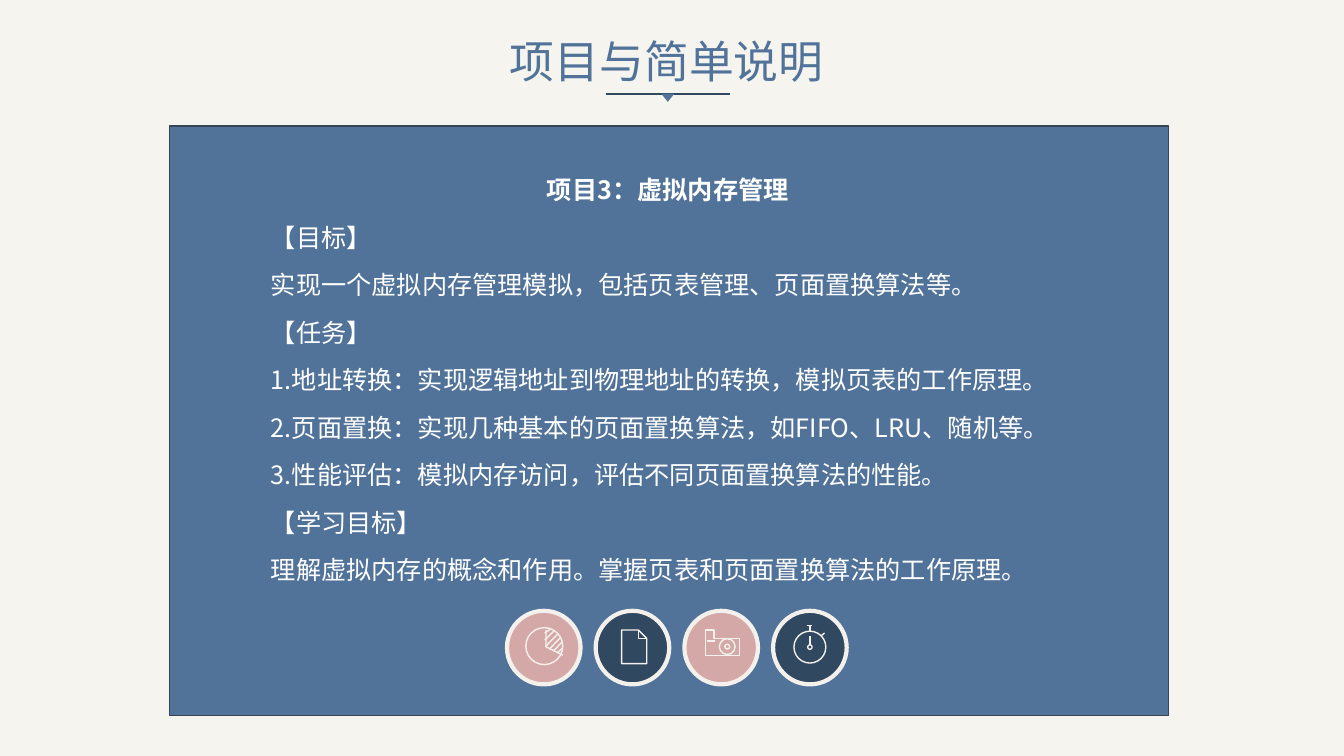
from dataclasses import dataclass

from lxml import etree
from pptx import Presentation
from pptx import util as u
from pptx.dml.color import RGBColor
from pptx.enum import shapes, text
from pptx.oxml import ns

# The slide is a grid of 160 columns by 90 rows of square cells.
CELL = u.Inches(1 / 12)
COLUMNS, ROWS = 160, 90

CREAM = RGBColor(0xF5, 0xF4, 0xEF)
IVORY = RGBColor(0xF4, 0xF1, 0xEC)
BLUE = RGBColor(0x51, 0x73, 0x99)
NAVY = RGBColor(0x30, 0x48, 0x60)
SLATE = RGBColor(0x37, 0x46, 0x56)
PINK = RGBColor(0xD4, 0xA8, 0xA7)
WHITE = RGBColor(0xFF, 0xFF, 0xFF)

TITLE_FONT = "Times New Roman"
BODY_FONT = "Noto Sans CJK SC"
ICON_WEIGHT = 1

BADGE_LEFT, BADGE_TOP, BADGE_SIZE, BADGE_STEP = 60.36, 72.72, 8.76, 10.56

HEADING = "项目3：虚拟内存管理"
BODY = (
    "【目标】",
    "实现一个虚拟内存管理模拟，包括页表管理、页面置换算法等。",
    "【任务】",
    "1.地址转换：实现逻辑地址到物理地址的转换，模拟页表的工作原理。",
    "2.页面置换：实现几种基本的页面置换算法，如FIFO、LRU、随机等。",
    "3.性能评估：模拟内存访问，评估不同页面置换算法的性能。",
    "【学习目标】",
    "理解虚拟内存的概念和作用。掌握页表和页面置换算法的工作原理。",
)

Point = tuple[float, float]


@dataclass(frozen=True)
class Area:
    left: float
    top: float
    width: float
    height: float

    def emu(self) -> tuple[int, ...]:
        return tuple(round(side * CELL) for side in (self.left, self.top, self.width, self.height))


@dataclass(frozen=True)
class Ring:
    x: float
    y: float
    radius: float


@dataclass(frozen=True)
class Stroke:
    points: tuple[Point, ...]
    closed: bool = False


@dataclass(frozen=True)
class Badge:
    """A round icon; its rings and strokes are measured from the centre."""
    color: RGBColor
    rings: tuple[Ring, ...]
    strokes: tuple[Stroke, ...]


PIE_CHART = Badge(PINK, (Ring(0.06, -0.18, 2.2),), (
    Stroke(((0.06, -2.38), (0.06, -0.12), (1.95, 1))),
    Stroke(((0.12, -1.74), (0.72, -2.16))),
    Stroke(((0.12, -0.9), (1.2, -1.98))),
    Stroke(((0.18, -0.12), (1.68, -1.62))),
    Stroke(((0.66, 0.18), (1.98, -1.2))),
    Stroke(((1.14, 0.42), (2.16, -0.66))),
    Stroke(((1.62, 0.6), (2.22, 0.06))),
))
DOCUMENTS = Badge(NAVY, (), (
    Stroke(((-1.26, -2.4), (0.66, -2.4), (1.68, -1.38), (1.68, 1.5), (-1.26, 1.5)), closed=True),
    Stroke(((0.66, -2.4), (0.66, -1.32), (1.68, -1.32))),
    Stroke(((-1.8, -1.86), (-1.8, 2.04), (1.26, 2.04))),
))
CAMERA = Badge(PINK, (Ring(0.72, -0.12, 0.94), Ring(0.72, -0.12, 0.28)), (
    Stroke(((-2.22, -1.56), (-1.74, -1.56), (-1.74, -1.98), (-0.66, -1.98), (-0.66, -1.56),
            (2.16, -1.56), (2.16, 1.32), (-2.22, 1.32)), closed=True),
    Stroke(((-1.74, -0.78), (-0.78, -0.78))),
))
STOPWATCH = Badge(NAVY, (Ring(0, -0.06, 1.9), Ring(0, -0.06, 0.26)), (
    Stroke(((0, -1.38), (0, -0.32))),
    Stroke(((-0.3, -2.6), (0.3, -2.6))),
    Stroke(((0, -2.6), (0, -1.96))),
    Stroke(((1.38, -1.44), (1.74, -1.74))),
))
BADGES = (PIE_CHART, DOCUMENTS, CAMERA, STOPWATCH)


def set_line(shape, color: RGBColor, weight: float) -> None:
    shape.line.color.rgb = color
    shape.line.width = u.Pt(weight)


def add_preset(parent, kind, area: Area, fill: RGBColor | None,
               line: RGBColor | None = None, weight: float = 1):
    shape = parent.add_shape(kind, *area.emu())
    shape.shadow.inherit = False
    if fill is None:
        shape.fill.background()
    else:
        shape.fill.solid()
        shape.fill.fore_color.rgb = fill
    if line is None:
        shape.line.fill.background()
    else:
        set_line(shape, line, weight)
    return shape


def add_line(parent, start: Point, end: Point, color: RGBColor, weight: float) -> None:
    ends = [round(value * CELL) for value in (*start, *end)]
    line = parent.add_connector(shapes.MSO_CONNECTOR.STRAIGHT, *ends)
    set_line(line, color, weight)
    etree.SubElement(line._element.spPr, ns.qn("a:effectLst"))


def add_stroke(parent, stroke: Stroke, x: float, y: float) -> None:
    points = [(x + right, y + down) for right, down in stroke.points]
    if len(points) == 2:
        add_line(parent, points[0], points[1], IVORY, ICON_WEIGHT)
        return
    builder = parent.build_freeform(*points[0], scale=CELL)
    builder.add_line_segments(points[1:], close=stroke.closed)
    outline = builder.convert_to_shape()
    outline.shadow.inherit = False
    outline.fill.background()
    set_line(outline, IVORY, ICON_WEIGHT)


def add_badge(page, badge: Badge, index: int) -> None:
    group = page.shapes.add_group_shape().shapes
    left = BADGE_LEFT + index * BADGE_STEP
    x, y = left + BADGE_SIZE / 2, BADGE_TOP + BADGE_SIZE / 2
    oval = shapes.MSO_SHAPE.OVAL
    add_preset(group, oval, Area(left, BADGE_TOP, BADGE_SIZE, BADGE_SIZE), badge.color, IVORY, 3)
    for ring in badge.rings:
        size = 2 * ring.radius
        area = Area(x + ring.x - ring.radius, y + ring.y - ring.radius, size, size)
        add_preset(group, oval, area, None, IVORY, ICON_WEIGHT)
    for stroke in badge.strokes:
        add_stroke(group, stroke, x, y)


def add_text_frame(page, area: Area, wrap: bool):
    frame = page.shapes.add_textbox(*area.emu()).text_frame
    frame.word_wrap = wrap
    frame.auto_size = text.MSO_AUTO_SIZE.SHAPE_TO_FIT_TEXT
    return frame


def add_span(para, words: str, size: float, font: str, color: RGBColor, bold: bool = False):
    span = para.add_run()
    span.text = words
    span.font.size = u.Pt(size)
    span.font.name = font
    span.font.bold = bold
    span.font.color.rgb = color
    return span


def add_title(page) -> None:
    para = add_text_frame(page, Area(59.52, 3.48, 40.08, 7.68), wrap=False).paragraphs[0]
    add_span(para, "项目与简单说明", 32, TITLE_FONT, BLUE)


def add_description(page) -> None:
    frame = add_text_frame(page, Area(31.08, 19.68, 96.84, 50.76), wrap=True)
    for index, words in enumerate((HEADING, *BODY)):
        is_heading = index == 0
        para = frame.paragraphs[0] if is_heading else frame.add_paragraph()
        para.alignment = text.PP_ALIGN.CENTER if is_heading else text.PP_ALIGN.LEFT
        para.line_spacing = 1.15 if is_heading else 1.2
        para.space_after = u.Pt(8)
        span = add_span(para, words, 18, BODY_FONT, WHITE, bold=is_heading)
        etree.SubElement(span.font._element, ns.qn("a:ea"), typeface=BODY_FONT)


def main() -> None:
    deck = Presentation()
    deck.slide_width, deck.slide_height = COLUMNS * CELL, ROWS * CELL
    page = deck.slides.add_slide(deck.slide_layouts[6])
    page.background.fill.solid()
    page.background.fill.fore_color.rgb = CREAM

    add_line(page.shapes, (72.12, 11.16), (86.88, 11.16), NAVY, 1.5)
    pointer = add_preset(page.shapes, shapes.MSO_SHAPE.ISOSCELES_TRIANGLE,
                         Area(78.72, 11.16, 1.56, 0.96), BLUE)
    pointer.rotation = 180
    add_preset(page.shapes, shapes.MSO_SHAPE.RECTANGLE, Area(20.16, 15, 118.92, 70.2), BLUE, SLATE)
    add_title(page)
    for index, badge in enumerate(BADGES):
        add_badge(page, badge, index)
    add_description(page)
    deck.save("out.pptx")


if __name__ == "__main__":
    main()
